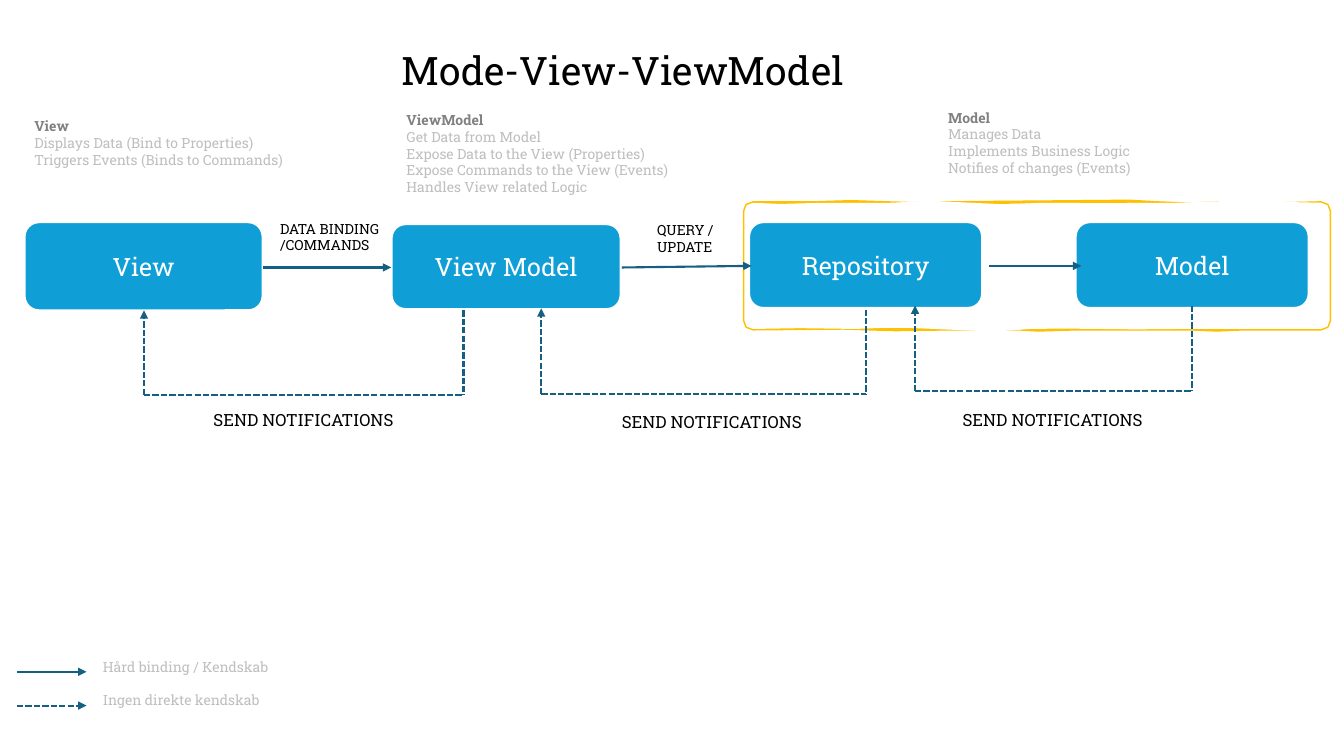
from dataclasses import dataclass

from lxml.etree import SubElement
from pptx import Presentation
from pptx.dml.color import RGBColor
from pptx.enum.dml import MSO_LINE_DASH_STYLE as Dash
from pptx.enum.shapes import MSO_CONNECTOR as Connector, MSO_SHAPE as Preset
from pptx.enum.text import MSO_ANCHOR as Anchor, MSO_AUTO_SIZE as AutoSize, PP_ALIGN as Align
from pptx.oxml.ns import qn
from pptx.slide import Slide
from pptx.text.text import TextFrame
from pptx.util import Cm, Pt

Point = tuple[float, float]


@dataclass(frozen=True)
class Theme:
    font: str = "Roboto Slab"
    black: RGBColor = RGBColor(0, 0, 0)
    white: RGBColor = RGBColor(255, 255, 255)
    heading: RGBColor = RGBColor(0x80, 0x80, 0x80)
    muted: RGBColor = RGBColor(0xBF, 0xBF, 0xBF)
    box: RGBColor = RGBColor(0x0F, 0x9E, 0xD5)
    arrow: RGBColor = RGBColor(0x15, 0x60, 0x82)
    frame: RGBColor = RGBColor(0xFF, 0xC0, 0x00)
    title_size: int = 28
    box_size: int = 18
    label_size: int = 12
    small_size: int = 10


THEME = Theme()


@dataclass(frozen=True)
class Area:
    """A rectangle in centimetres."""
    left: float
    top: float
    width: float
    height: float

    def lengths(self) -> tuple[Cm, Cm, Cm, Cm]:
        return Cm(self.left), Cm(self.top), Cm(self.width), Cm(self.height)


@dataclass(frozen=True)
class Label:
    text: str
    area: Area
    size: int


@dataclass(frozen=True)
class Arrow:
    start: Point
    end: Point
    dashed: bool = False
    head: bool = True


@dataclass(frozen=True)
class Notification:
    """A dashed path down from a source, across, and up to a target."""
    source: Point
    target: Point
    bottom: float

    def arrows(self) -> list[Arrow]:
        right, left = (self.source[0], self.bottom), (self.target[0], self.bottom)
        return [Arrow(self.source, right, True, False),
                Arrow(left, right, True, False),
                Arrow(left, self.target, True)]


COMPONENTS = [
    Label("View", Area(0.61, 5.59, 6.02, 2.24), THEME.box_size),
    Label("View Model", Area(9.86, 5.64, 5.79, 2.16), THEME.box_size),
    Label("Repository", Area(18.87, 5.59, 5.89, 2.18), THEME.box_size),
    Label("Model", Area(27.1, 5.59, 5.89, 2.18), THEME.box_size),
]
DESCRIPTIONS = [
    Label("View\nDisplays Data (Bind to Properties)\nTriggers Events (Binds to Commands)",
          Area(0.61, 2.84, 7.6, 1.55), THEME.small_size),
    Label("ViewModel\nGet Data from Model\nExpose Data to the View (Properties)\n"
          "Expose Commands to the View (Events)\nHandles View related Logic",
          Area(9.99, 2.68, 8, 2.39), THEME.small_size),
    Label("Model\nManages Data\nImplements Business Logic\nNotifies of changes (Events)",
          Area(23.64, 2.62, 6, 1.96), THEME.small_size),
]
LEGEND = Label("Hård binding / Kendskab\nIngen direkte kendskab",
               Area(2.34, 16.46, 5.4, 1.55), THEME.small_size)
LABELS = [
    Label("DATA BINDING\n/COMMANDS", Area(6.81, 5.42, 3.5, 1.12), THEME.small_size),
    Label("QUERY /\nUPDATE", Area(16.31, 5.45, 2.5, 1.12), THEME.small_size),
    *[Label("SEND NOTIFICATIONS", Area(left, top, 5.8, 0.76), THEME.label_size)
      for left, top in [(5.13, 10.19), (15.42, 10.24), (24.01, 10.19)]],
]
ARROWS = [
    Arrow((6.63, 6.74), (9.86, 6.74)),
    Arrow((15.67, 6.74), (18.94, 6.7)),
    Arrow((24.93, 6.7), (27.25, 6.7)),
    Arrow((0.43, 16.93), (2.18, 16.93)),
    Arrow((0.43, 17.78), (2.18, 17.78), dashed=True),
]
NOTIFICATIONS = [
    Notification((11.68, 7.82), (3.63, 7.82), 9.95),
    Notification((21.82, 7.8), (13.64, 7.77), 9.93),
    Notification((30.05, 7.7), (23.06, 7.7), 9.86),
]
FRAME = Area(18.76, 5.11, 14.75, 3.18)
# Wavering of the frame: distance along the edge and vertical offset
STROKE_TOP = [(1.7, 0), (2.7, -0.03), (3.6, 0), (4.3, 0.02), (5, 0), (9.7, -0.04),
              (10.4, 0), (11.2, 0.03), (12, 0), (13.2, 0.03)]
STROKE_BOTTOM = [(12.6, 0), (11.9, 0.03), (11.2, 0), (8.4, 0), (7.4, 0.03), (6.9, 0),
                 (5.3, 0), (3.8, 0.02), (2.5, -0.02)]
MASK_TOP = [(0.9, 0.03), (2, 0), (2.9, 0), (3.7, 0), (4.7, -0.05), (5.7, 0), (6.6, 0.04),
            (7.5, 0), (9, 0.01), (10.9, 0), (12.3, -0.05)]
MASK_BOTTOM = [(12.9, 0), (10.9, 0), (9.9, 0.01), (8.9, 0), (8, -0.01), (7.2, 0),
               (6.4, 0.06), (5.9, 0.05), (4.8, 0), (3.8, -0.04), (2.8, 0), (1.4, -0.02)]


def format_text(frame: TextFrame, size: int, color: RGBColor) -> None:
    frame.word_wrap = True
    frame.auto_size = AutoSize.NONE
    frame.vertical_anchor = Anchor.TOP
    for para in frame.paragraphs:
        para.alignment = Align.LEFT
        para.space_before = Pt(0)
        for span in para.runs:
            span.font.name = THEME.font
            span.font.size = Pt(size)
            span.font.bold = False
            span.font.color.rgb = color


def fill_placeholder(page: Slide, index: int, label: Label, color: RGBColor) -> TextFrame:
    box = page.placeholders[index]
    box.left, box.top, box.width, box.height = label.area.lengths()
    box.text_frame.text = label.text
    format_text(box.text_frame, label.size, color)
    for para in box.text_frame.paragraphs:
        settings = para._p.get_or_add_pPr()
        settings.set("marL", "0")
        settings.set("indent", "0")
        SubElement(settings, qn("a:buNone"))
    return box.text_frame


def add_label(page: Slide, label: Label) -> None:
    frame = page.shapes.add_textbox(*label.area.lengths()).text_frame
    frame.text = label.text
    format_text(frame, label.size, THEME.black)


def add_component(page: Slide, label: Label) -> None:
    box = page.shapes.add_shape(Preset.ROUNDED_RECTANGLE, *label.area.lengths())
    box.shadow.inherit = False
    box.fill.solid()
    box.fill.fore_color.rgb = THEME.box
    box.line.color.rgb = THEME.white
    box.line.width = Pt(2)
    box.text_frame.text = label.text
    format_text(box.text_frame, label.size, THEME.white)
    box.text_frame.vertical_anchor = Anchor.MIDDLE
    box.text_frame.paragraphs[0].alignment = Align.CENTER


def add_arrow(page: Slide, arrow: Arrow) -> None:
    ends = [Cm(value) for value in (*arrow.start, *arrow.end)]
    link = page.shapes.add_connector(Connector.STRAIGHT, *ends)
    link.line.color.rgb = THEME.arrow
    link.line.width = Pt(1.5)
    if arrow.dashed:
        link.line.dash_style = Dash.SQUARE_DOT
    if arrow.head:
        SubElement(link.line._get_or_add_ln(), qn("a:tailEnd"), type="triangle")
    SubElement(link._element.spPr, qn("a:effectLst"))


def add_outline(page: Slide, top: list[Point], bottom: list[Point], stroked: bool) -> None:
    """Draw the wavering frame, either as a line only or as a white fill only."""
    wide, high = FRAME.width, FRAME.height
    near, far = 0.06, 0.22
    points = [(0, far), (near, near), (far, 0), *top,
              (wide - far, 0), (wide - near, near), (wide, far),
              (wide, high - far), (wide - near, high - near), (wide - far, high),
              *[(x, high + y) for x, y in bottom],
              (far, high), (near, high - near), (0, high - far)]
    places = [(Cm(FRAME.left + x), Cm(FRAME.top + y)) for x, y in points]
    builder = page.shapes.build_freeform(*places[0])
    builder.add_line_segments(places[1:], close=True)
    outline = builder.convert_to_shape()
    outline.shadow.inherit = False
    if stroked:
        outline.fill.background()
        outline.line.color.rgb = THEME.frame
        outline.line.width = Pt(2.25)
    else:
        outline.fill.solid()
        outline.fill.fore_color.rgb = THEME.white
        outline.line.fill.background()


def main() -> None:
    deck = Presentation()
    deck.slide_width, deck.slide_height = Cm(33.87), Cm(19.05)
    page = deck.slides.add_slide(deck.slide_layouts.get_by_name("Comparison"))
    title = Label("Mode-View-ViewModel", Area(9.86, 1.04, 14.15, 1.45), THEME.title_size)
    fill_placeholder(page, 0, title, THEME.black)
    for index, description in enumerate(DESCRIPTIONS, start=1):
        frame = fill_placeholder(page, index, description, THEME.muted)
        heading = frame.paragraphs[0].runs[0].font
        heading.bold = True
        heading.color.rgb = THEME.heading
    legend = fill_placeholder(page, 4, LEGEND, THEME.muted)
    legend.paragraphs[1].space_before = Pt(12)

    add_outline(page, STROKE_TOP, STROKE_BOTTOM, stroked=True)
    add_outline(page, MASK_TOP, MASK_BOTTOM, stroked=False)
    for component in COMPONENTS:
        add_component(page, component)
    for arrow in ARROWS + [part for path in NOTIFICATIONS for part in path.arrows()]:
        add_arrow(page, arrow)
    for label in LABELS:
        add_label(page, label)
    deck.save("out.pptx")


if __name__ == "__main__":
    main()
